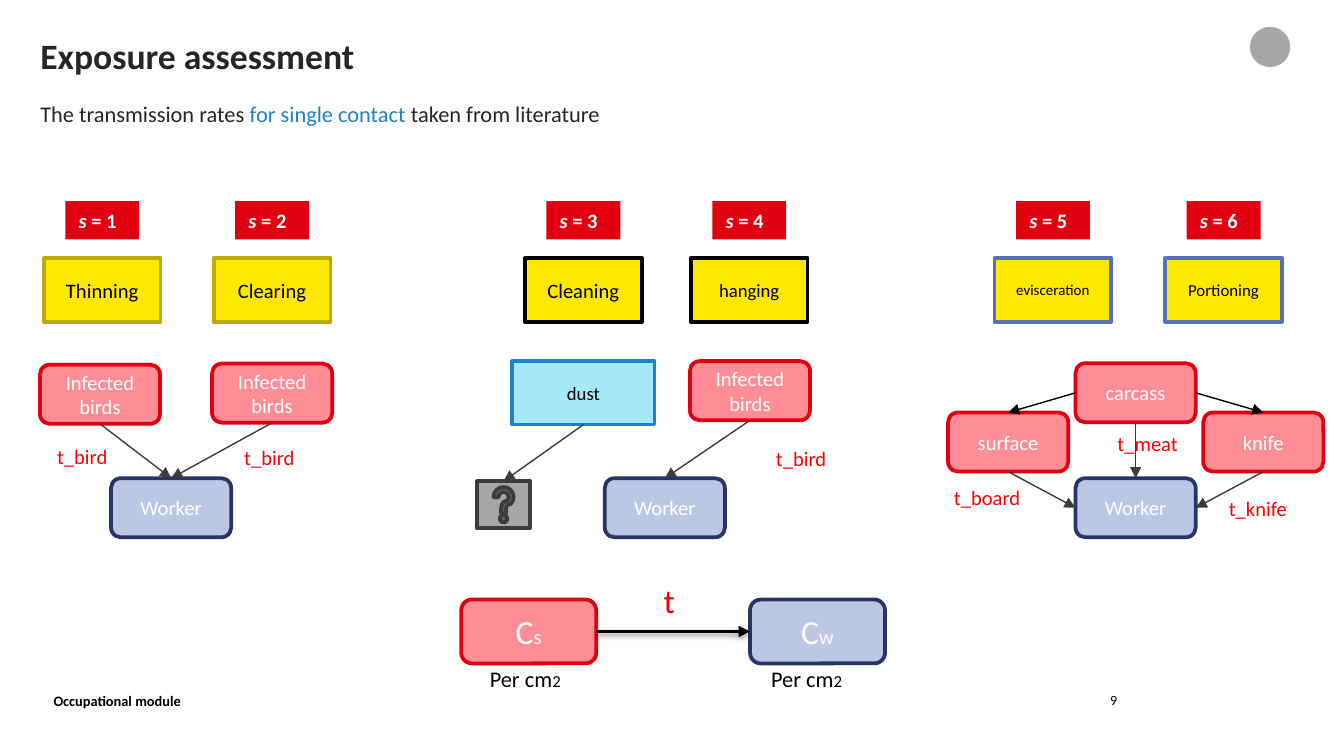
from pptx import Presentation
from pptx.dml.color import RGBColor
from pptx.enum.shapes import MSO_CONNECTOR, MSO_SHAPE
from pptx.enum.text import MSO_ANCHOR, PP_ALIGN
from pptx.oxml.ns import qn
from pptx.util import Pt
from lxml.etree import SubElement


class Theme:
    font = "Calibri"
    black, white, ink, arrow = "000000", "FFFFFF", "262626", "3C3C3C"
    accent, rate, grey = "2082C8", "FF0000", "A6A6A6"
    red, pink = "E1000F", "FF8D95"
    navy, lavender = "273564", "BCC6E5"
    yellow, olive, blue, sky = "FFE800", "BDAC00", "5770BE", "A5E9F9"
    title, symbol, lead, body, small, unit = 19.1, 18, 12, 11, 10, 9
    tiny, footer, number = 8, 7.7, 7.5


def add_text(s, runs, align=PP_ALIGN.LEFT, anchor=MSO_ANCHOR.TOP):
    """Each run is (text, size, colour) and an optional style of "b" and "i"."""
    tf = s.text_frame
    tf.word_wrap = True
    tf.vertical_anchor = anchor
    p = tf.paragraphs[0]
    p.alignment = align
    for text, size, color, *style in runs:
        r = p.add_run()
        r.text = text
        r.font.name = Theme.font
        r.font.size = Pt(size)
        r.font.color.rgb = RGBColor.from_string(color)
        r.font.bold = "b" in "".join(style)
        r.font.italic = "i" in "".join(style)
    return p


def add_box(kind, x, y, w, h, fill, line=None):
    s = slide.shapes.add_shape(kind, Pt(x), Pt(y), Pt(w), Pt(h))
    s.shadow.inherit = False
    s.fill.solid()
    s.fill.fore_color.rgb = RGBColor.from_string(fill)
    if line:
        s.line.color.rgb = RGBColor.from_string(line)
        s.line.width = Pt(2)
    else:
        s.line.fill.background()
    return s


prs = Presentation()
prs.slide_width, prs.slide_height = Pt(720), Pt(405)
slide = prs.slides.add_slide(prs.slide_layouts[5])

# Title and lead sentence
title = slide.shapes.title
title.left, title.top, title.width, title.height = Pt(21.6), Pt(20.9), Pt(642), Pt(50)
lead = slide.shapes.add_textbox(Pt(21.6), Pt(55.4), Pt(642), Pt(50))
headings = [
    (title, [("Exposure assessment", Theme.title, Theme.ink, "b")]),
    (lead, [("The transmission rates ", Theme.lead, Theme.ink),
            ("for single contact", Theme.lead, Theme.accent),
            (" taken from literature", Theme.lead, Theme.ink)]),
]
for s, runs in headings:
    tf = s.text_frame
    tf.margin_left = tf.margin_right = tf.margin_top = tf.margin_bottom = 0
    add_text(s, runs).line_spacing = 0.9

# Plain mark in the corner
add_box(MSO_SHAPE.OVAL, 669.6, 14.4, 21.6, 21.6, Theme.grey)

# Numbered stages: centre, task, size, outline
stages = [
    (54.8, "Thinning", Theme.body, Theme.olive),
    (145.8, "Clearing", Theme.body, Theme.olive),
    (312.5, "Cleaning", Theme.body, Theme.black),
    (401.4, "hanging", Theme.small, Theme.black),
    (564.1, "evisceration", Theme.tiny, Theme.blue),
    (655.5, "Portioning", Theme.unit, Theme.blue),
]
for number, (center, task, size, line) in enumerate(stages, 1):
    s = add_box(MSO_SHAPE.RECTANGLE, center - 19.8, 107.7, 39.6, 20.6, Theme.red)
    add_text(s, [("s", Theme.body, Theme.white, "bi"),
                 (f" = {number}", Theme.body, Theme.white, "b")], anchor=MSO_ANCHOR.MIDDLE)
    s = add_box(MSO_SHAPE.RECTANGLE, center - 31.3, 138.2, 62.6, 34.2, Theme.yellow, line)
    add_text(s, [(task, size, Theme.black)], PP_ALIGN.CENTER, MSO_ANCHOR.MIDDLE)

# Sources and workers
source, worker = (Theme.pink, Theme.red), (Theme.lavender, Theme.navy)
nodes = {}
for name, label, x, y, colors in [
    ("thinned", "Infected birds", 21.4, 195.4, source),
    ("cleared", "Infected birds", 113.6, 194.8, source),
    ("hung", "Infected birds", 369.6, 193.5, source),
    ("carcass", "carcass", 576.2, 194.6, source),
    ("surface", "surface", 507.9, 221, source),
    ("knife", "knife", 644.6, 221, source),
    ("farm worker", "Worker", 59.5, 256.2, worker),
    ("hanging worker", "Worker", 324, 256.2, worker),
    ("cutting worker", "Worker", 576.2, 256.2, worker),
]:
    s = nodes[name] = add_box(MSO_SHAPE.ROUNDED_RECTANGLE, x, y, 64.4, 31.7, *colors)
    add_text(s, [(label, Theme.body, Theme.white)], PP_ALIGN.CENTER, MSO_ANCHOR.MIDDLE)

# Concentrations on source and worker
for name, mark, x, colors, unit_x in [("Cs", "s", 247.1, source, 255.3),
                                      ("Cw", "w", 401.8, worker, 406)]:
    s = nodes[name] = add_box(MSO_SHAPE.ROUNDED_RECTANGLE, x, 321.2, 72.3, 34.2, *colors)
    add_text(s, [("C", Theme.symbol, Theme.white), (mark, Theme.body, Theme.white)],
             PP_ALIGN.CENTER, MSO_ANCHOR.MIDDLE)
    s = slide.shapes.add_textbox(Pt(unit_x), Pt(352.8), Pt(68), Pt(21.6))
    add_text(s, [("Per cm", Theme.lead, Theme.black), ("2", Theme.unit, Theme.black)])

# Dust leads to an unknown
nodes["dust"] = add_box(MSO_SHAPE.RECTANGLE, 274.4, 193.5, 76.3, 34, Theme.sky, Theme.accent)
add_text(nodes["dust"], [("dust", Theme.small, Theme.black)],
         PP_ALIGN.CENTER, MSO_ANCHOR.MIDDLE)
add_box(MSO_SHAPE.ACTION_BUTTON_HELP, 255.6, 257.8, 28.4, 25.2, Theme.grey, Theme.arrow)

# Arrows between connection sites
TOP, LEFT, BOTTOM, RIGHT = range(4)
for start, start_site, end, end_site, color, width in [
    ("thinned", BOTTOM, "farm worker", TOP, Theme.arrow, 0.75),
    ("cleared", BOTTOM, "farm worker", TOP, Theme.arrow, 0.75),
    ("hung", BOTTOM, "hanging worker", TOP, Theme.arrow, 0.75),
    ("carcass", BOTTOM, "cutting worker", TOP, Theme.arrow, 0.75),
    ("surface", BOTTOM, "cutting worker", LEFT, Theme.arrow, 0.75),
    ("knife", BOTTOM, "cutting worker", RIGHT, Theme.arrow, 0.75),
    ("carcass", LEFT, "surface", TOP, Theme.black, 0.75),
    ("carcass", RIGHT, "knife", TOP, Theme.black, 0.75),
    ("dust", BOTTOM, None, None, Theme.arrow, 0.75),
    ("Cs", RIGHT, "Cw", LEFT, Theme.black, 2),
]:
    c = slide.shapes.add_connector(MSO_CONNECTOR.STRAIGHT, 0, 0, Pt(269.8), Pt(257.8))
    c.begin_connect(nodes[start], start_site)
    if end:
        c.end_connect(nodes[end], end_site)
    c.line.color.rgb = RGBColor.from_string(color)
    c.line.width = Pt(width)
    SubElement(c.line._get_or_add_ln(), qn("a:tailEnd"), type="triangle")
    effects = SubElement(c._element.spPr, qn("a:effectLst"))
    if start == "Cs":
        shadow = SubElement(effects, qn("a:outerShdw"), blurRad=str(Pt(3.1)),
                            dist=str(Pt(1.6)), dir="5400000", rotWithShape="0")
        shade = SubElement(shadow, qn("a:srgbClr"), val=Theme.black)
        SubElement(shade, qn("a:alpha"), val="38000")

# Transmission rates
for label, x, y, w, size in [
    ("t_bird", 23.5, 234.2, 47.5, Theme.body),
    ("t_bird", 123.8, 235, 47.5, Theme.body),
    ("t_bird", 408.6, 235.5, 47.5, Theme.body),
    ("t_meat", 591.6, 227.2, 53.3, Theme.body),
    ("t_board", 504, 256.3, 57.6, Theme.body),
    ("t_knife", 651.2, 262.2, 51.8, Theme.body),
    ("t", 348.5, 306.9, 47.5, Theme.symbol),
]:
    s = slide.shapes.add_textbox(Pt(x), Pt(y), Pt(w), Pt(size + 10))
    add_text(s, [(label, size, Theme.rate)])

# Footer
s = slide.shapes.add_textbox(Pt(21.6), Pt(367.2), Pt(243.4), Pt(16.6))
add_text(s, [("Occupational module", Theme.footer, Theme.black, "b")], anchor=MSO_ANCHOR.BOTTOM)
s = slide.shapes.add_textbox(Pt(499), Pt(367.2), Pt(106.6), Pt(16.6))
add_text(s, [("9", Theme.number, Theme.black)], PP_ALIGN.RIGHT)

prs.save("out.pptx")
